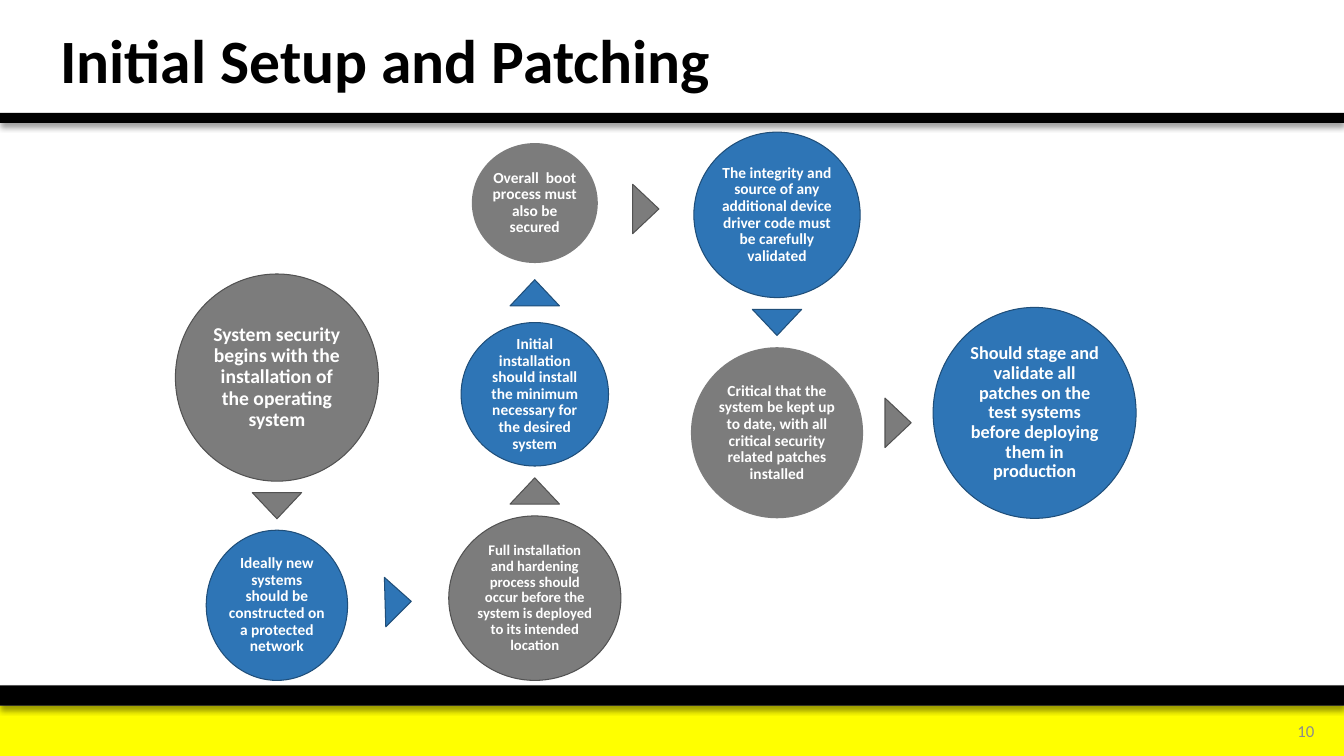
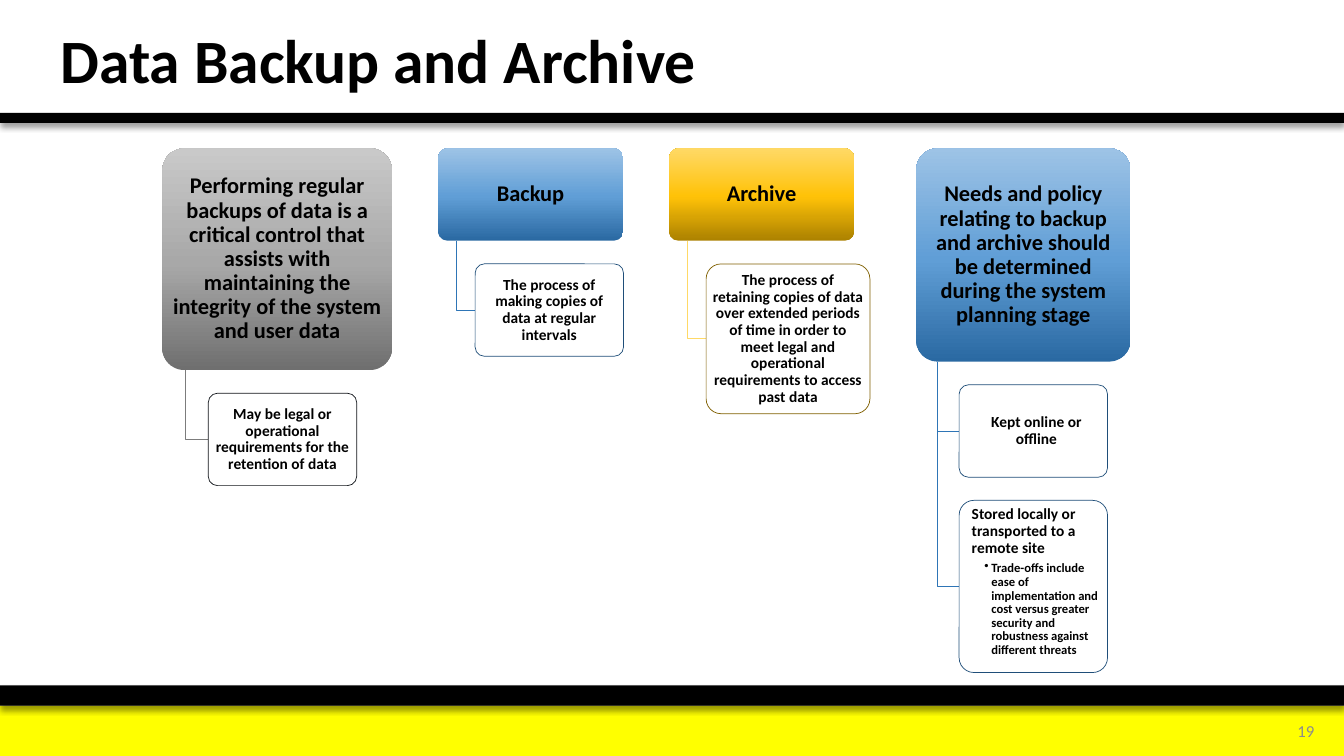
from copy import deepcopy
from typing import NamedTuple

from lxml import etree
from pptx import Presentation
from pptx.dml.color import RGBColor
from pptx.enum.shapes import MSO_SHAPE
from pptx.enum.text import MSO_ANCHOR, PP_ALIGN
from pptx.oxml.ns import qn
from pptx.util import Pt

RECT, OVAL = MSO_SHAPE.RECTANGLE, MSO_SHAPE.OVAL
ROUNDED, TRIANGLE = MSO_SHAPE.ROUNDED_RECTANGLE, MSO_SHAPE.ISOSCELES_TRIANGLE
LEFT, CENTER, RIGHT = PP_ALIGN.LEFT, PP_ALIGN.CENTER, PP_ALIGN.RIGHT
TOP, MIDDLE = MSO_ANCHOR.TOP, MSO_ANCHOR.MIDDLE

FONT = "Calibri"
BLACK, WHITE, YELLOW, NUMBER_GRAY = "000000", "FFFFFF", "FFFF00", "8C8C8C"
GRAY, GRAY_EDGE = "7C7C7C", "525252"
BLUE, BLUE_EDGE = "2E75B6", "1F4E79"
GOLD, GOLD_EDGE, INK = "FFD966", "806000", "11151A"
GRAY_SHADES = ("6F6F6F", "A8A8A8", "C9C9C9")
BLUE_SHADES = ("2A69A2", "609ED6", "9DC3E6")
GOLD_SHADES = ("AB8100", "FFC208", "FFD966")

WIDTH, HEIGHT = 960, 540
TITLE_BOX = (36, 5, 754, 81)
NUMBER_BOX = (891, 508.3, 55, 28.8)
ARROW_W, ARROW_H = 35.3, 18.7
NOTE_GAP = 16.5


class Step(NamedTuple):
    center_x: float
    top: float
    width: float
    height: float
    size: float
    outlined: bool
    arrow_turn: float | None  # direction of the arrow to the next step
    text: str

    @property
    def center_y(self):
        return self.top + self.height / 2


class Note(NamedTuple):
    text: str
    width: float = 106
    height: float = 66
    indent: float = 0
    detail: str = ""


class Topic(NamedTuple):
    left: float
    width: float
    height: float
    shades: tuple
    trunk: str
    edge: str
    text: str
    notes: list


STEPS = [
    Step(197.8, 195.7, 145, 148, 14, True, 180,
         "System security begins with the installation of the operating system"),
    Step(197.8, 378.7, 101, 107.3, 11, True, 88.4,
         "Ideally new systems should be constructed on a protected network"),
    Step(382, 368.5, 123, 117.5, 10.5, True, 0,
         "Full installation and hardening process should occur before the "
         "system is deployed to its intended location"),
    Step(382, 230.4, 105.3, 102.5, 11, True, 0,
         "Initial installation should install the minimum necessary for the "
         "desired system"),
    Step(382, 102.2, 90, 85.7, 11, False, 90,
         "Overall  boot process must also be secured"),
    Step(555, 94.4, 118.8, 118.2, 11, True, 180,
         "The integrity and source of any additional device driver code must "
         "be carefully validated"),
    Step(555, 248, 123, 122.2, 11, False, 90,
         "Critical that the system be kept up to date, with all critical "
         "security related patches installed"),
    Step(739, 219.6, 145, 150.7, 13, True, None,
         "Should stage and validate all patches on the test systems before "
         "deploying them in production"),
]

TOPICS = [
    Topic(116, 164, 158.4, GRAY_SHADES, GRAY, INK,
          "Performing regular backups of data is a critical control that "
          "assists with maintaining the integrity of the system and user data",
          [Note("May be legal or operational requirements for the retention of data")]),
    Topic(313, 132, 66, BLUE_SHADES, BLUE, BLUE_EDGE, "Backup",
          [Note("The process of making copies of data at regular intervals")]),
    Topic(478, 132, 66, GOLD_SHADES, GOLD, GOLD_EDGE, "Archive",
          [Note("The process of retaining copies of data over extended periods "
                "of time in order to meet legal and operational requirements to "
                "access past data", 117, 107)]),
    Topic(654.5, 153, 152.4, BLUE_SHADES, BLUE, BLUE_EDGE,
          "Needs and policy relating to backup and archive should be "
          "determined during the system planning stage",
          [Note("Kept online or offline", indent=4.5),
           Note("Stored locally or transported to a remote site", height=123,
                indent=4.5,
                detail="Trade-offs include ease of implementation and cost "
                       "versus greater security and robustness against "
                       "different threats")]),
]


def color(hex_string):
    return RGBColor.from_string(hex_string)


def points(*lengths):
    return [Pt(length) for length in lengths]


def outline(shape, edge, weight):
    if edge:
        shape.line.color.rgb = color(edge)
        shape.line.width = Pt(weight)
    else:
        shape.line.fill.background()


def add_box(slide, kind, box, fill=None, edge=None, weight=0.75):
    shape = slide.shapes.add_shape(kind, *points(*box))
    shape.shadow.inherit = False
    if fill:
        shape.fill.solid()
        shape.fill.fore_color.rgb = color(fill)
    outline(shape, edge, weight)
    return shape


def style(paragraph, size, ink, bold=True, align=CENTER, after=0.0):
    paragraph.alignment = align
    paragraph.line_spacing = 0.9
    paragraph.space_after = Pt(round(size * after, 1))
    font = paragraph.font
    font.name, font.size, font.bold = FONT, Pt(size), bold
    font.color.rgb = color(ink)


def set_text(shape, text, size, ink, inset=1.4, anchor=MIDDLE, align=CENTER):
    frame = shape.text_frame
    frame.word_wrap = True
    frame.vertical_anchor = anchor
    frame.margin_left = frame.margin_right = Pt(inset)
    frame.margin_top = frame.margin_bottom = Pt(1.4)
    frame.text = text
    style(frame.paragraphs[0], size, ink, align=align, after=0.35)
    return frame


def set_indent(paragraph, left, first=0, bullet=None):
    props = paragraph._p.get_or_add_pPr()
    props.set("marL", str(Pt(left)))
    props.set("indent", str(Pt(first)))
    if bullet:
        mark = etree.Element(qn("a:buChar"), char=bullet)
        props.insert(0, mark)


def add_band(slide, top, height, fill, shadowed=False):
    band = add_box(slide, RECT, (0, top, WIDTH, height), fill)
    if shadowed:
        effects = band._element.spPr.find(qn("a:effectLst"))
        shadow = etree.SubElement(effects, qn("a:outerShdw"), blurRad=str(Pt(4)),
                                  dist=str(Pt(3)), dir="5400000", rotWithShape="0")
        tone = etree.SubElement(shadow, qn("a:srgbClr"), val=BLACK)
        etree.SubElement(tone, qn("a:alpha"), val="40000")


def add_slide(deck, title, number):
    """Title, bands and slide number shared by every slide."""
    slide = deck.slides.add_slide(deck.slide_layouts[5])
    add_band(slide, 504, 36, YELLOW)
    add_band(slide, 489.6, 14.4, BLACK, shadowed=True)
    add_band(slide, 80.6, 7.2, BLACK, shadowed=True)

    heading = slide.shapes.title
    heading.left, heading.top, heading.width, heading.height = points(*TITLE_BOX)
    heading.text_frame.text = title
    heading.text_frame.vertical_anchor = MIDDLE
    style(heading.text_frame.paragraphs[0], 44, BLACK, align=LEFT)

    page = slide.shapes.add_textbox(*points(*NUMBER_BOX)).text_frame
    page.word_wrap = True
    page.vertical_anchor = MIDDLE
    page.text = str(number)
    style(page.paragraphs[0], 12, NUMBER_GRAY, bold=False, align=RIGHT)
    return slide


def arrow_center(step, following):
    """Middle of the gap between two neighbouring circles."""
    if step.center_x == following.center_x:
        upper, lower = sorted((step, following), key=lambda s: s.top)
        return step.center_x, (upper.top + upper.height + lower.top) / 2
    right = step.center_x + step.width / 2
    left = following.center_x - following.width / 2
    return (right + left) / 2, (step.center_y + following.center_y) / 2


def draw_process(slide, steps):
    for index, step in enumerate(steps):
        fill, edge = ((GRAY, GRAY_EDGE), (BLUE, BLUE_EDGE))[index % 2]
        box = (step.center_x - step.width / 2, step.top, step.width, step.height)
        circle = add_box(slide, OVAL, box, fill, edge if step.outlined else None)
        set_text(circle, step.text, step.size, WHITE)
        if step.arrow_turn is not None:
            x, y = arrow_center(step, steps[index + 1])
            arrow = add_box(slide, TRIANGLE, (x - ARROW_W / 2, y - ARROW_H / 2,
                                              ARROW_W, ARROW_H), fill, edge)
            arrow.rotation = step.arrow_turn


def fill_gradient(shape, shades):
    shape.fill.gradient()
    shape.fill.gradient_angle = 90
    stops = shape._element.spPr.find(".//" + qn("a:gsLst"))
    stops.append(deepcopy(stops[0]))
    for stop, place, shade in zip(shape.fill.gradient_stops, (0, 0.48, 1), shades):
        stop.position = place
        stop.color.rgb = color(shade)


def draw_branch(slide, x, top, end_x, end_y, ink):
    builder = slide.shapes.build_freeform(*points(x, top))
    builder.add_line_segments([points(x, end_y), points(end_x, end_y)], close=False)
    branch = builder.convert_to_shape()
    branch.shadow.inherit = False
    branch.fill.background()
    outline(branch, ink, 0.5)


def draw_note(slide, note, left, top, edge):
    card = add_box(slide, ROUNDED, (left, top, note.width, note.height), WHITE, edge, 0.5)
    card.adjustments[0] = 0.1
    anchor, align = (TOP, LEFT) if note.detail else (MIDDLE, CENTER)
    frame = set_text(card, note.text, 11, BLACK, anchor=anchor, align=align)
    set_indent(frame.paragraphs[0], note.indent)
    if note.detail:
        detail = frame.add_paragraph()
        detail.text = note.detail
        detail.level = 1
        set_indent(detail, 18.5, -5, "•")
        style(detail, 9, BLACK, align=LEFT, after=0.15)


def draw_topic(slide, topic, top):
    header = add_box(slide, ROUNDED, (topic.left, top, topic.width, topic.height))
    header.adjustments[0] = 0.1
    fill_gradient(header, topic.shades)
    set_text(header, topic.text, 16, BLACK, inset=2.2)

    # Notes hang below the header, each on its own branch
    bottom = top + topic.height
    trunk_x = topic.left + topic.width * 0.1
    note_left = topic.left + topic.width * 0.2
    note_top = bottom + NOTE_GAP
    for note in topic.notes:
        draw_branch(slide, trunk_x, bottom, note_left,
                    note_top + note.height / 2, topic.trunk)
        draw_note(slide, note, note_left, note_top, topic.edge)
        note_top += note.height + NOTE_GAP


def main():
    deck = Presentation()
    deck.slide_width, deck.slide_height = points(WIDTH, HEIGHT)

    draw_process(add_slide(deck, "Initial Setup and Patching", 10), STEPS)

    backup = add_slide(deck, "Data Backup and Archive", 19)
    for topic in TOPICS:
        draw_topic(backup, topic, 106)

    deck.save("out.pptx")


if __name__ == "__main__":
    main()
